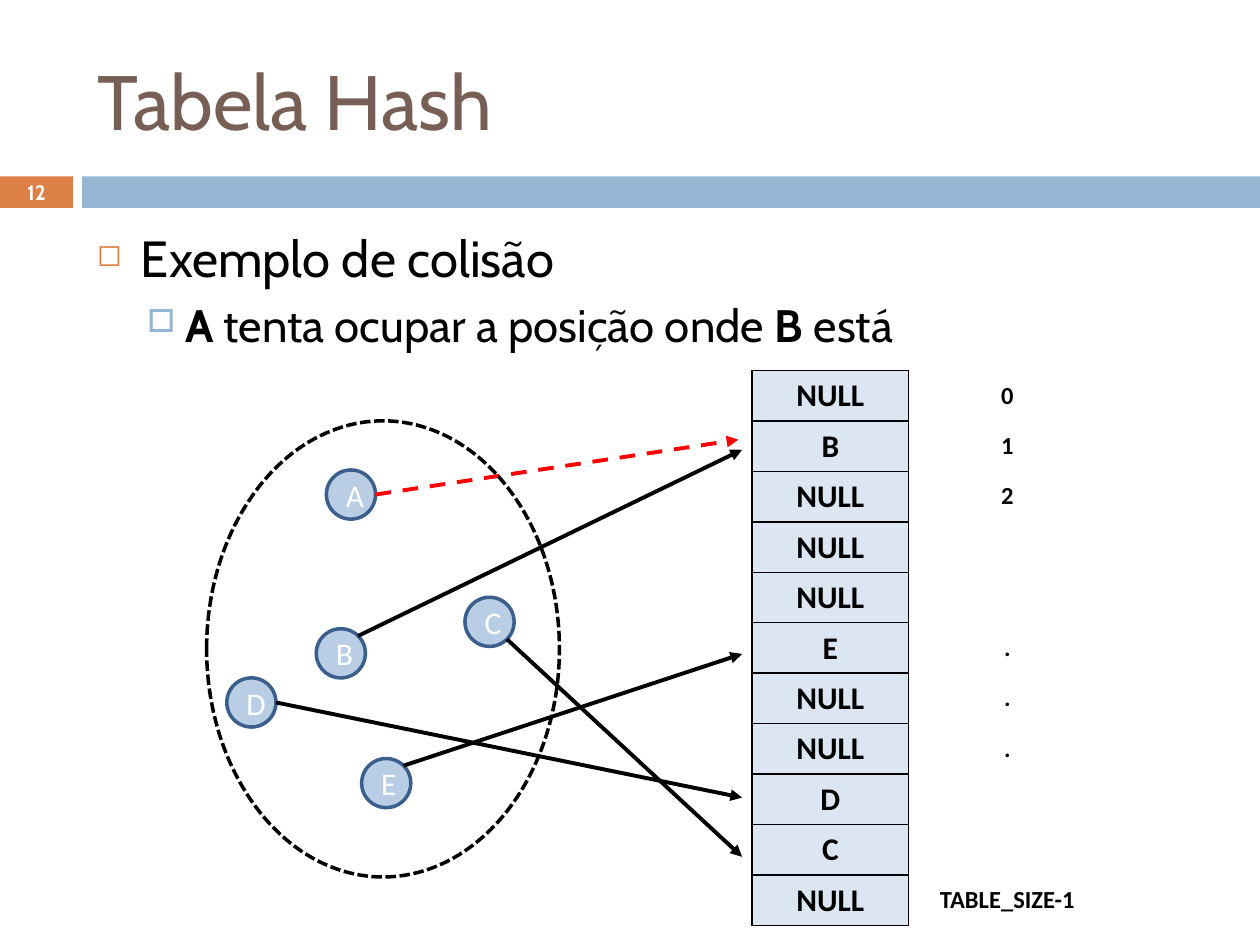
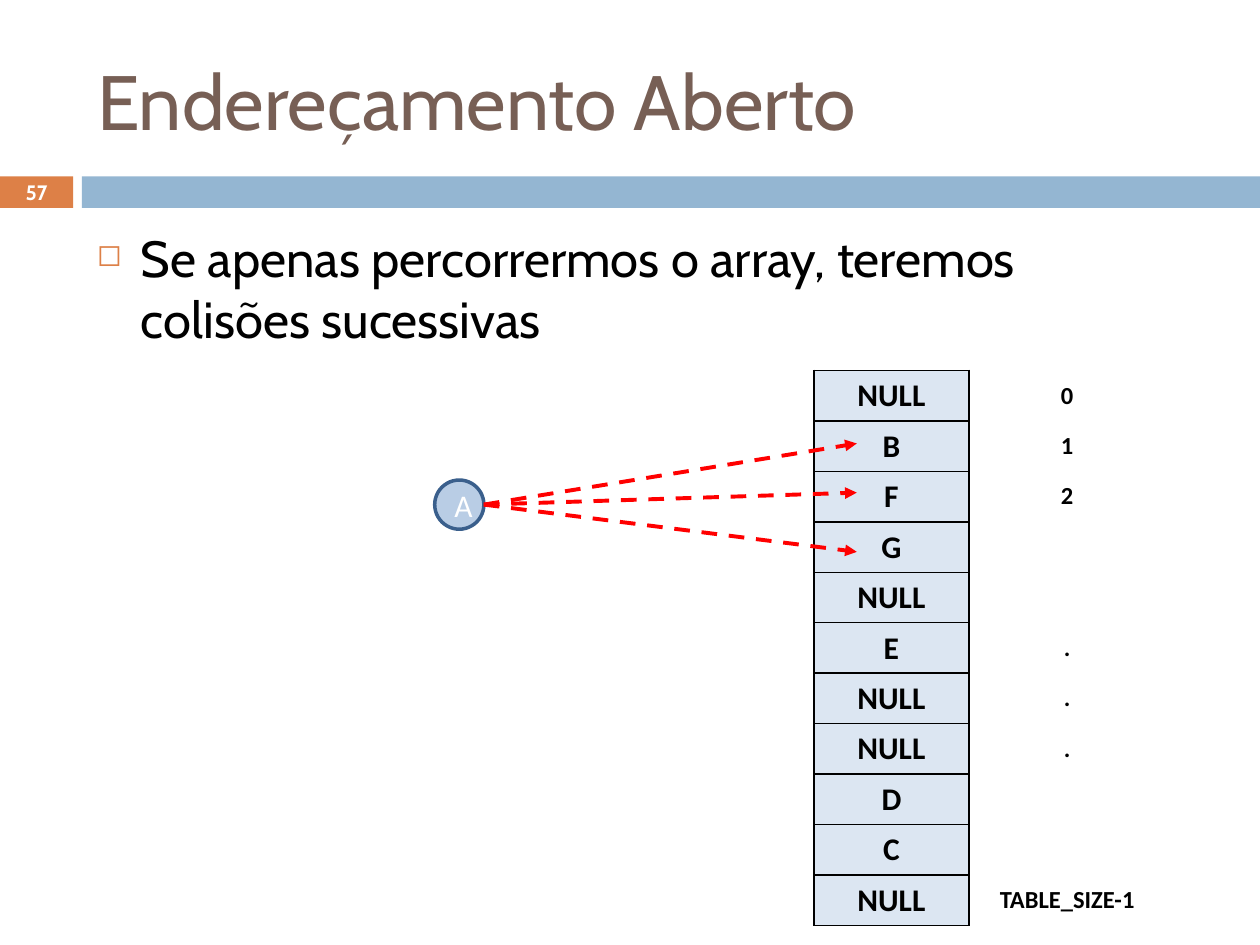
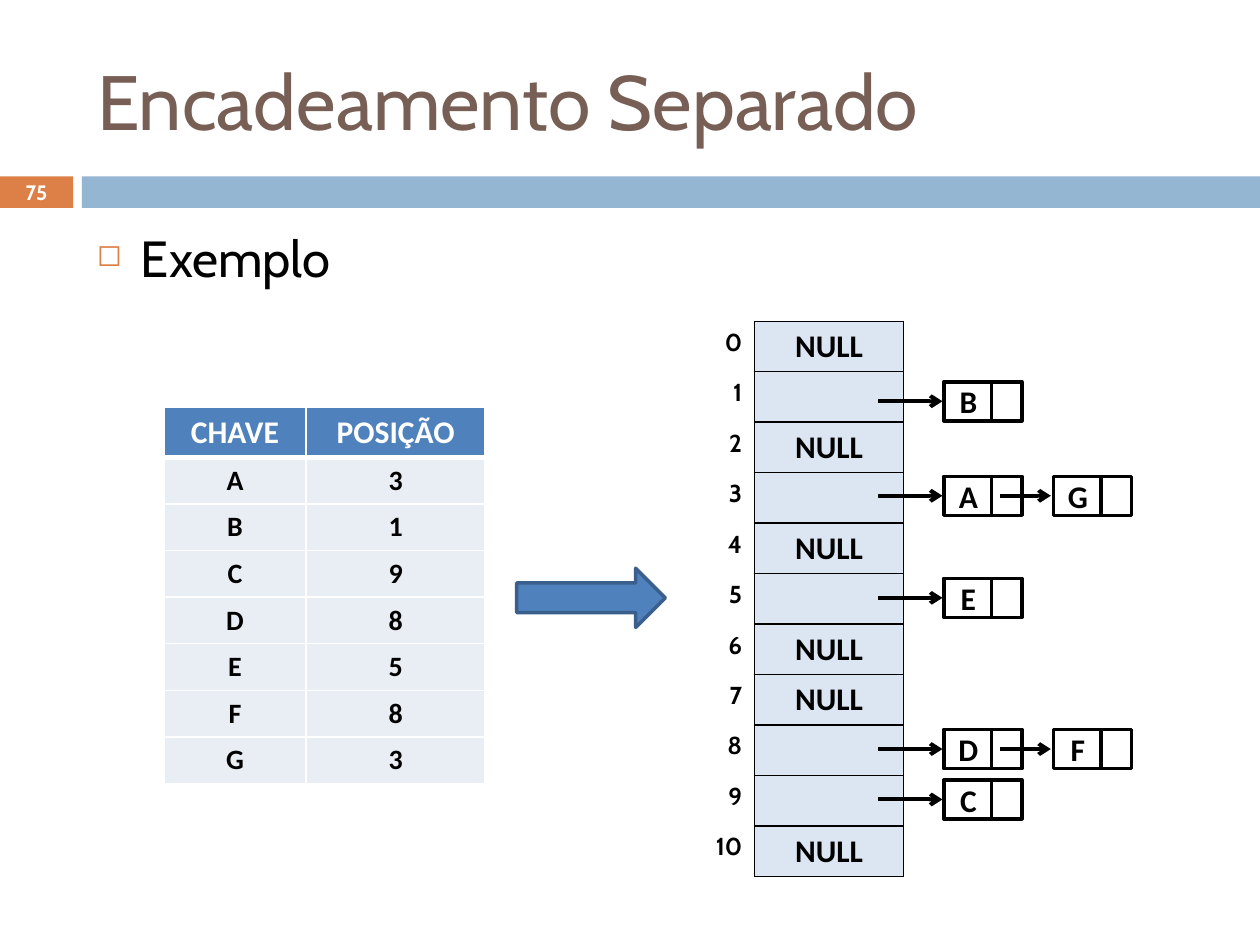
"""Build three slides about hash tables, collisions and separate chaining."""
from dataclasses import dataclass, field
from math import cos, radians, sin
from typing import Optional

from lxml.etree import SubElement
from pptx import Presentation
from pptx.dml.color import RGBColor
from pptx.enum.dml import MSO_LINE
from pptx.enum.shapes import MSO_CONNECTOR, MSO_SHAPE
from pptx.enum.text import MSO_ANCHOR, MSO_AUTO_SIZE, PP_ALIGN
from pptx.oxml.ns import qn
from pptx.util import Inches, Pt


@dataclass(frozen=True)
class Theme:
    heading_font: str = "Cabin"
    data_font: str = "Calibri"
    title: str = "775F55"
    orange: str = "DD8047"
    band: str = "94B6D2"
    ink: str = "000000"
    paper: str = "FFFFFF"
    slot: str = "DCE6F2"
    key: str = "B9CDE5"
    edge: str = "3A5F8C"
    header: str = "4F81BD"
    row: str = "E9EDF4"
    collision: str = "FF0000"
    title_size: float = 44
    number_size: float = 11.9
    body_size: float = 29
    sub_size: float = 26
    data_size: float = 18
    row_size: float = 16
    index_size: float = 14
    outline: float = 2
    arrow: float = 2.25


THEME = Theme()
NO_GRID_STYLE = "{2D5ABB26-0587-4C30-8999-92F81FD0307C}"
KEY_SIZE = 0.39


@dataclass(frozen=True)
class Level:
    bullet: str
    color: str
    percent: int
    margin: float
    hanging: float
    size: float
    before: float


LEVELS = (
    Level("◻", THEME.orange, 60, 0.35, 0.35, THEME.body_size, 0),
    Level("□", THEME.band, 70, 0.7, 0.3, THEME.sub_size, 5.5),
)


@dataclass(frozen=True)
class Key:
    name: str
    left: float
    top: float
    exit_angle: float = 0
    targets: tuple = ()
    color: str = THEME.ink
    dash: Optional[MSO_LINE] = None


@dataclass(frozen=True)
class CellStyle:
    size: float
    fill: Optional[str] = None
    font: str = THEME.data_font
    color: str = THEME.ink
    align: PP_ALIGN = PP_ALIGN.CENTER
    anchor: MSO_ANCHOR = MSO_ANCHOR.TOP
    borders: dict = field(default_factory=dict)


@dataclass(frozen=True)
class Chain:
    top: float
    keys: str


BLACK = (THEME.ink, 1)
WHITE = (THEME.paper, 1)
THICK_WHITE = (THEME.paper, 3)
SLOT = CellStyle(THEME.data_size, THEME.slot, borders=dict.fromkeys("LRTB", BLACK))
LABEL = CellStyle(THEME.index_size, THEME.paper, anchor=MSO_ANCHOR.MIDDLE,
                  borders={"L": BLACK})
INDEX = CellStyle(THEME.index_size, font=THEME.heading_font,
                  align=PP_ALIGN.RIGHT, borders={"R": BLACK})
HEADER = CellStyle(THEME.data_size, THEME.header, color=THEME.paper,
                   anchor=MSO_ANCHOR.MIDDLE,
                   borders=dict.fromkeys("LRT", WHITE) | {"B": THICK_WHITE})
FIRST_ENTRY = CellStyle(THEME.row_size, THEME.row, anchor=MSO_ANCHOR.MIDDLE,
                        borders=dict.fromkeys("LRB", WHITE) | {"T": THICK_WHITE})
ENTRY = CellStyle(THEME.row_size, THEME.row, anchor=MSO_ANCHOR.MIDDLE,
                  borders=dict.fromkeys("LRTB", WHITE))

LABELS = ("0", "1", "2", "", "", ".", ".", ".", "", "", "TABLE_SIZE-1")
POSITIONS = (("A", "3"), ("B", "1"), ("C", "9"), ("D", "8"),
             ("E", "5"), ("F", "8"), ("G", "3"))
KEYS = (
    Key("B", 2.51, 4.99, -45, ((5.89, 3.57),)),
    Key("A", 2.59, 3.73, 0, ((5.86, 3.49),), THEME.collision, MSO_LINE.DASH),
    Key("C", 3.69, 4.74, 45, ((5.89, 6.8),)),
    Key("E", 2.87, 6.02, -45, ((5.89, 5.19),)),
    Key("D", 1.8, 5.38, 0, ((5.89, 6.33),)),
)
PROBING_KEY = Key("A", 3.45, 3.81, 0, ((6.8, 3.52), (6.8, 3.91), (6.8, 4.38)),
                  THEME.collision, MSO_LINE.DASH)
CHAINS = (Chain(3.03, "B"), Chain(3.78, "AG"), Chain(4.59, "E"),
          Chain(5.79, "DF"), Chain(6.19, "C"))


def rgb(color: str) -> RGBColor:
    return RGBColor.from_string(color)


def add_run(paragraph, text: str, font: str, size: float, color: str,
            bold: bool = False) -> None:
    run = paragraph.add_run()
    run.text = text
    run.font.name = font
    run.font.size = Pt(size)
    run.font.color.rgb = rgb(color)
    run.font.bold = bold


def add_block(shapes, kind: MSO_SHAPE, box: tuple, fill: Optional[str] = None,
              edge: Optional[str] = None):
    block = shapes.add_shape(kind, *map(Inches, box))
    block.shadow.inherit = False
    if fill:
        block.fill.solid()
        block.fill.fore_color.rgb = rgb(fill)
    else:
        block.fill.background()
    if edge:
        block.line.color.rgb = rgb(edge)
        block.line.width = Pt(THEME.outline)
    else:
        block.line.fill.background()
    return block


def caption(block, text: str, color: str, bold: bool = False) -> None:
    block.text_frame.vertical_anchor = MSO_ANCHOR.MIDDLE
    paragraph = block.text_frame.paragraphs[0]
    paragraph.alignment = PP_ALIGN.CENTER
    add_run(paragraph, text, THEME.data_font, THEME.data_size, color, bold)


def add_arrow(slide, start: tuple, end: tuple, color: str = THEME.ink,
              head: str = "triangle", dash: Optional[MSO_LINE] = None) -> None:
    arrow = slide.shapes.add_connector(
        MSO_CONNECTOR.STRAIGHT, *map(Inches, start + end))
    arrow.line.color.rgb = rgb(color)
    arrow.line.width = Pt(THEME.arrow)
    if dash:
        arrow.line.dash_style = dash
    properties = arrow._element.spPr
    SubElement(properties.find(qn("a:ln")), qn("a:tailEnd"), type=head)
    SubElement(properties, qn("a:effectLst"))


def add_bullet(paragraph, level: Level) -> None:
    properties = paragraph._p.get_or_add_pPr()
    properties.set("marL", str(Inches(level.margin)))
    properties.set("indent", str(-Inches(level.hanging)))
    bullet_color = SubElement(properties, qn("a:buClr"))
    SubElement(bullet_color, qn("a:srgbClr"), val=level.color)
    SubElement(properties, qn("a:buSzPct"), val=str(level.percent * 1000))
    SubElement(properties, qn("a:buChar"), char=level.bullet)
    if level.before:
        paragraph.space_before = Pt(level.before)


def add_body(slide, items: list) -> None:
    body = slide.shapes.add_textbox(*map(Inches, (0.67, 1.75, 8.92, 4.92))).text_frame
    body.word_wrap = True
    for position, (depth, runs) in enumerate(items):
        paragraph = body.add_paragraph() if position else body.paragraphs[0]
        level = LEVELS[depth]
        paragraph.level = depth
        add_bullet(paragraph, level)
        for text, bold in runs:
            add_run(paragraph, text, THEME.heading_font, level.size, THEME.ink, bold)


def start_slide(deck, title: str, number: str, items: list):
    slide = deck.slides.add_slide(deck.slide_layouts[5])
    heading = slide.shapes.title
    heading.left, heading.top, heading.width, heading.height = map(
        Inches, (0.67, 0.25, 8.92, 1.08))
    heading.text_frame.auto_size = MSO_AUTO_SIZE.NONE
    heading.text_frame.vertical_anchor = MSO_ANCHOR.MIDDLE
    paragraph = heading.text_frame.paragraphs[0]
    paragraph.alignment = PP_ALIGN.LEFT
    add_run(paragraph, title, THEME.heading_font, THEME.title_size, THEME.title)

    add_block(slide.shapes, MSO_SHAPE.RECTANGLE, (0, 1.4, 0.58, 0.25), THEME.orange)
    add_block(slide.shapes, MSO_SHAPE.RECTANGLE, (0.65, 1.4, 9.35, 0.25), THEME.band)
    page = slide.shapes.add_textbox(*map(Inches, (0, 1.39, 0.58, 0.27))).text_frame
    page.word_wrap = True
    page.vertical_anchor = MSO_ANCHOR.MIDDLE
    page.paragraphs[0].alignment = PP_ALIGN.CENTER
    add_run(page.paragraphs[0], number, THEME.heading_font, THEME.number_size,
            THEME.paper, True)
    add_body(slide, items)
    return slide


def fill_cell(cell, text: str, style: CellStyle) -> None:
    properties = cell._tc.get_or_add_tcPr()
    for side in "LRTB":
        color, width = style.borders.get(side, (None, 0))
        border = SubElement(properties, qn(f"a:ln{side}"), w=str(Pt(width)))
        if color:
            paint = SubElement(border, qn("a:solidFill"))
            SubElement(paint, qn("a:srgbClr"), val=color)
        else:
            SubElement(border, qn("a:noFill"))
    if style.fill:
        cell.fill.solid()
        cell.fill.fore_color.rgb = rgb(style.fill)
    else:
        cell.fill.background()
    cell.vertical_anchor = style.anchor
    paragraph = cell.text_frame.paragraphs[0]
    paragraph.alignment = style.align
    if text:
        add_run(paragraph, text, style.font, style.size, style.color, True)


def add_grid(slide, left: float, top: float, widths: tuple, row_height: float,
             rows: list) -> None:
    """Draw a table whose rows hold (text, style) pairs."""
    grid = slide.shapes.add_table(
        len(rows), len(widths), Inches(left), Inches(top),
        Inches(sum(widths)), Inches(row_height * len(rows))).table
    grid.first_row = grid.horz_banding = False
    grid._tbl.tblPr.find(qn("a:tableStyleId")).text = NO_GRID_STYLE
    for column, width in zip(grid.columns, widths):
        column.width = Inches(width)
    for r, row in enumerate(rows):
        for c, (text, style) in enumerate(row):
            fill_cell(grid.cell(r, c), text, style)


def add_hash_table(slide, left: float, widths: tuple, slots: list) -> None:
    rows = [((slot, SLOT), (label, LABEL)) for slot, label in zip(slots, LABELS)]
    add_grid(slide, left, 2.94, widths, 0.4, rows)


def add_key(slide, key: Key) -> None:
    circle = add_block(slide.shapes, MSO_SHAPE.OVAL,
                       (key.left, key.top, KEY_SIZE, KEY_SIZE), THEME.key, THEME.edge)
    caption(circle, key.name, THEME.paper)


def add_key_arrows(slide, key: Key) -> None:
    radius, angle = KEY_SIZE / 2, radians(key.exit_angle)
    start = (key.left + radius * (1 + cos(angle)), key.top + radius * (1 + sin(angle)))
    for target in key.targets:
        add_arrow(slide, start, target, key.color, dash=key.dash)


def add_chain(slide, chain: Chain) -> None:
    first_left, step, height = 7.49, 0.87, 0.31
    middle = chain.top + height / 2
    for position, name in enumerate(chain.keys):
        left = first_left + position * step
        node = slide.shapes.add_group_shape().shapes
        name_box = add_block(node, MSO_SHAPE.RECTANGLE,
                             (left, chain.top, 0.39, height), THEME.paper, THEME.ink)
        caption(name_box, name, THEME.ink, True)
        add_block(node, MSO_SHAPE.RECTANGLE,
                  (left + 0.38, chain.top, 0.24, height), THEME.paper, THEME.ink)
    add_arrow(slide, (6.97, middle), (7.48, middle), head="arrow")
    for position in range(1, len(chain.keys)):
        next_left = first_left + position * step
        add_arrow(slide, (next_left - 0.42, middle), (next_left - 0.02, middle),
                  head="arrow")


def build_collision(deck) -> None:
    slide = start_slide(deck, "Tabela Hash", "12", [
        (0, [("Exemplo de colisão", False)]),
        (1, [("A", True), (" tenta ocupar a posição onde ", False),
             ("B", True), (" está", False)]),
    ])
    add_hash_table(slide, 5.97, (1.24, 1.57),
                   ["NULL", "B", "NULL", "NULL", "NULL", "E",
                    "NULL", "NULL", "D", "C", "NULL"])
    for key in KEYS:
        add_key(slide, key)
    for key in KEYS:
        add_key_arrows(slide, key)
    key_set = add_block(slide.shapes, MSO_SHAPE.OVAL, (1.64, 3.34, 2.8, 3.62),
                        edge=THEME.ink)
    key_set.line.dash_style = MSO_LINE.SQUARE_DOT


def build_open_addressing(deck) -> None:
    slide = start_slide(deck, "Endereçamento Aberto", "57", [
        (0, [("Se apenas percorrermos o array, teremos colisões sucessivas", False)]),
    ])
    add_hash_table(slide, 6.46, (1.23, 1.56),
                   ["NULL", "B", "F", "G", "NULL", "E",
                    "NULL", "NULL", "D", "C", "NULL"])
    add_key(slide, PROBING_KEY)
    add_key_arrows(slide, PROBING_KEY)


def build_chaining(deck) -> None:
    slide = start_slide(deck, "Encadeamento Separado", "75",
                        [(0, [("Exemplo", False)])])
    used = {int(position) for _, position in POSITIONS}
    add_grid(slide, 5.52, 2.55, (0.47, 1.18), 0.4, [
        ((str(index), INDEX), ("" if index in used else "NULL", SLOT))
        for index in range(11)])
    for chain in CHAINS:
        add_chain(slide, chain)
    rows = [(("CHAVE", HEADER), ("POSIÇÃO", HEADER))]
    for order, pair in enumerate(POSITIONS):
        style = ENTRY if order else FIRST_ENTRY
        rows.append(tuple((text, style) for text in pair))
    add_grid(slide, 1.3, 3.23, (1.13, 1.42), 0.37, rows)
    add_block(slide.shapes, MSO_SHAPE.RIGHT_ARROW, (4.1, 4.51, 1.18, 0.47),
              THEME.header, THEME.edge)


def main() -> None:
    deck = Presentation()
    deck.slide_width, deck.slide_height = Inches(10), Inches(7.5)
    build_collision(deck)
    build_open_addressing(deck)
    build_chaining(deck)
    deck.save("out.pptx")


if __name__ == "__main__":
    main()
